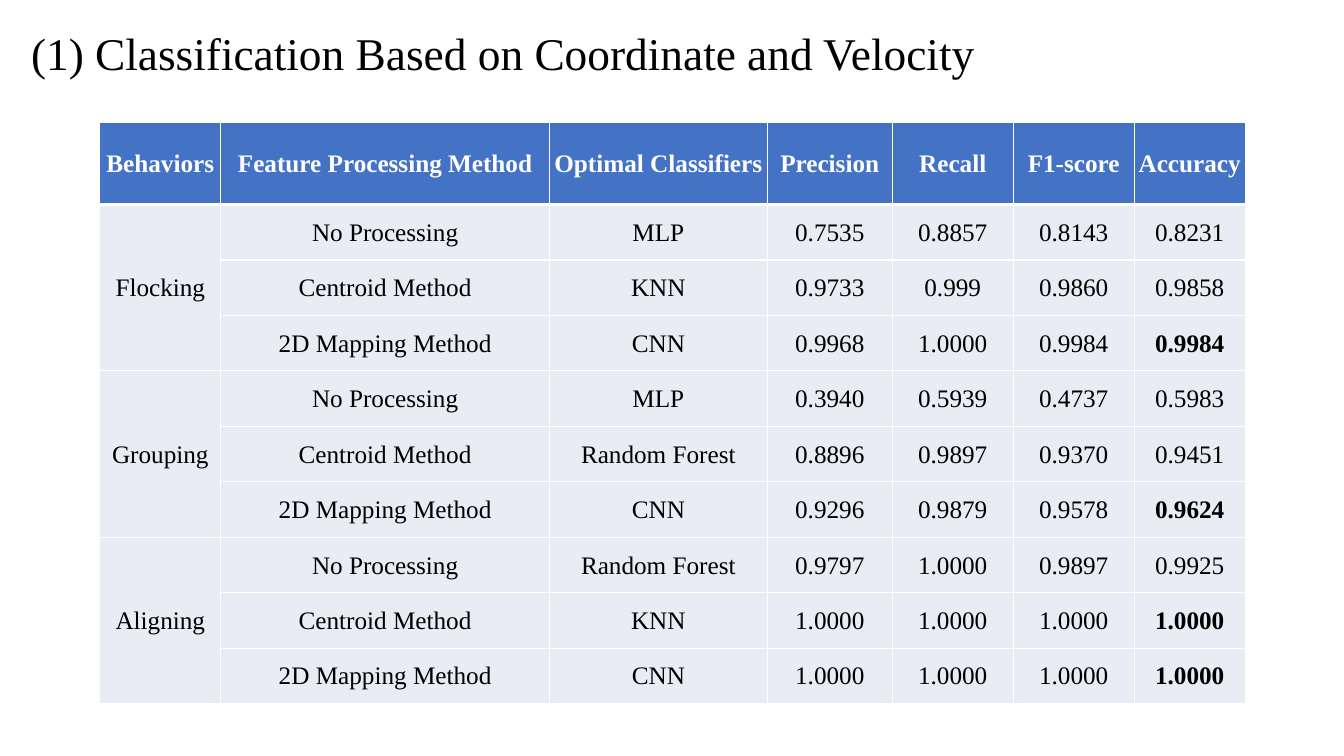
import pptx
import pptx.dml.color
import pptx.enum.text
import pptx.oxml
import pptx.oxml.ns
import pptx.util
from pptx.util import Inches

FONT = "Times New Roman"
BLACK = pptx.dml.color.RGBColor(0x00, 0x00, 0x00)
WHITE = pptx.dml.color.RGBColor(0xFF, 0xFF, 0xFF)
HEADER_BLUE = pptx.dml.color.RGBColor(0x44, 0x72, 0xC4)
BODY_TINT = pptx.dml.color.RGBColor(0xE9, 0xEB, 0xF5)

HEADINGS = ["Behaviors", "Feature Processing Method", "Optimal Classifiers",
            "Precision", "Recall", "F1-score", "Accuracy"]
METHODS = ["No Processing", "Centroid Method", "2D Mapping Method"]
# Per behavior, one row for each method: classifier, precision, recall, F1, accuracy
RESULTS = {
    "Flocking": [
        ["MLP", "0.7535", "0.8857", "0.8143", "0.8231"],
        ["KNN", "0.9733", "0.999", "0.9860", "0.9858"],
        ["CNN", "0.9968", "1.0000", "0.9984", "0.9984"],
    ],
    "Grouping": [
        ["MLP", "0.3940", "0.5939", "0.4737", "0.5983"],
        ["Random Forest", "0.8896", "0.9897", "0.9370", "0.9451"],
        ["CNN", "0.9296", "0.9879", "0.9578", "0.9624"],
    ],
    "Aligning": [
        ["Random Forest", "0.9797", "1.0000", "0.9897", "0.9925"],
        ["KNN", "1.0000", "1.0000", "1.0000", "1.0000"],
        ["CNN", "1.0000", "1.0000", "1.0000", "1.0000"],
    ],
}
COLUMN_WIDTHS = [1.2, 3.26, 2.16, 1.24, 1.2, 1.2, 1.1]
HEADER_HEIGHT, BODY_HEIGHT = 0.82, 0.55


def add_run(paragraph, text, size, color, bold=False):
    run = paragraph.add_run()
    run.text = text
    run.font.name = FONT
    run.font.size = pptx.util.Pt(size)
    run.font.color.rgb = color
    run.font.bold = bold


def style_cell(cell, fill, top=1, bottom=1):
    # White borders, widths in points
    properties = cell._tc.get_or_add_tcPr()
    for side, width in {"L": 1, "R": 1, "T": top, "B": bottom}.items():
        properties.append(pptx.oxml.parse_xml(
            f'<a:ln{side} {pptx.oxml.ns.nsdecls("a")} w="{pptx.util.Pt(width)}">'
            f'<a:solidFill><a:srgbClr val="{WHITE}"/></a:solidFill></a:ln{side}>'))
    cell.fill.solid()
    cell.fill.fore_color.rgb = fill
    cell.margin_left = cell.margin_top = cell.margin_right = Inches(0.01)
    cell.margin_bottom = 0
    cell.vertical_anchor = pptx.enum.text.MSO_ANCHOR.MIDDLE
    cell.text_frame.paragraphs[0].alignment = pptx.enum.text.PP_ALIGN.CENTER


presentation = pptx.Presentation()
presentation.slide_width = Inches(13.33)
presentation.slide_height = Inches(7.5)
slide = presentation.slides.add_slide(presentation.slide_layouts[6])

# Results table
row_count = 1 + len(RESULTS) * len(METHODS)
results_table = slide.shapes.add_table(
    row_count, len(HEADINGS), Inches(0.99), Inches(1.21), Inches(sum(COLUMN_WIDTHS)),
    Inches(HEADER_HEIGHT + BODY_HEIGHT * (row_count - 1))).table
for column, width in zip(results_table.columns, COLUMN_WIDTHS):
    column.width = Inches(width)
for row_index, row in enumerate(results_table.rows):
    row.height = Inches(BODY_HEIGHT if row_index else HEADER_HEIGHT)

# Header row
for column_index, heading in enumerate(HEADINGS):
    cell = results_table.cell(0, column_index)
    style_cell(cell, HEADER_BLUE, bottom=3)
    add_run(cell.text_frame.paragraphs[0], heading, 18, WHITE, bold=True)

# Three rows per behavior, with the best accuracy of each behavior in bold
for group_index, (behavior, group) in enumerate(RESULTS.items()):
    first_row = 1 + group_index * len(METHODS)
    best_accuracy = max(scores[-1] for scores in group)
    for offset, (method, scores) in enumerate(zip(METHODS, group)):
        row_index = first_row + offset
        label = [behavior] if offset == 0 else [""]
        for column_index, text in enumerate(label + [method] + scores):
            cell = results_table.cell(row_index, column_index)
            style_cell(cell, BODY_TINT, top=3 if row_index == 1 else 1)
            if text:
                is_best = column_index == len(HEADINGS) - 1 and text == best_accuracy
                add_run(cell.text_frame.paragraphs[0], text, 18, BLACK, bold=is_best)
    results_table.cell(first_row, 0).merge(
        results_table.cell(first_row + len(METHODS) - 1, 0))

# Title
title = slide.shapes.add_textbox(Inches(0.21), Inches(0.25), Inches(12.9), Inches(0.6))
title.text_frame.word_wrap = True
title.text_frame.vertical_anchor = pptx.enum.text.MSO_ANCHOR.MIDDLE
title_line = title.text_frame.paragraphs[0]
title_line.line_spacing = 0.9
add_run(title_line, "(1) Classification Based on Coordinate and Velocity", 32.4, BLACK)

presentation.save("out.pptx")
